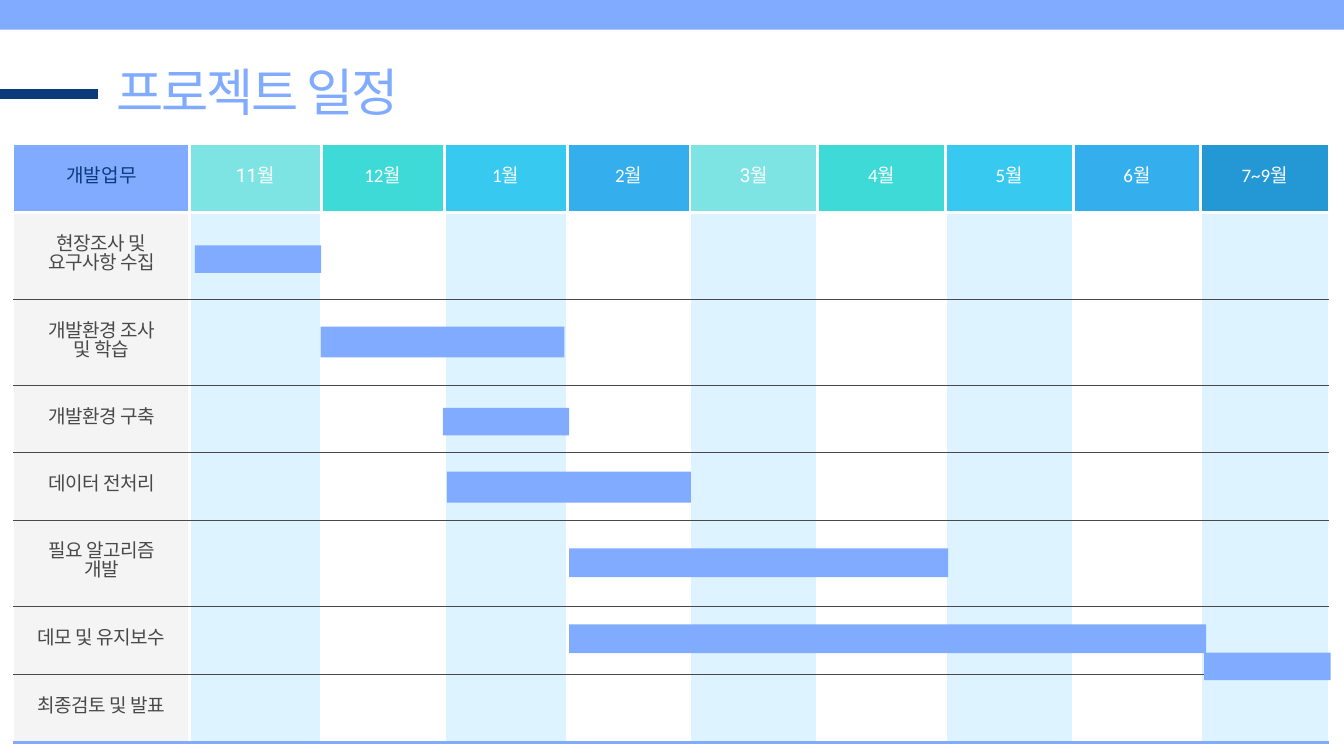
import dataclasses

import lxml.etree
import pptx
import pptx.dml.color
import pptx.enum.shapes
import pptx.enum.text
import pptx.oxml.ns
import pptx.util

PX = 9144


@dataclasses.dataclass(frozen=True)
class Theme:
    periwinkle: str = "80ABFF"
    navy: str = "0B3B7B"
    white: str = "FFFFFF"
    ink: str = "494949"
    label: str = "F4F4F4"
    stripe: str = "DDF3FF"
    months: tuple = ("7DE4E3", "3EDAD8", "37C9EF", "34AEED")
    last_month: str = "2498D4"
    font: str = "Calibri"
    accent_font: str = "Roboto"
    title_size: float = 55
    title_leading: float = 66
    cell_size: float = 20.4
    thin: float = 0.85
    medium: float = 2.55
    thick: float = 3.4
    dash: float = 11.25


class ScheduleSlide:
    """Draws the elements of a schedule slide in one theme."""

    def __init__(self, deck, theme):
        self.theme = theme
        self.slide = deck.slides.add_slide(deck.slide_layouts[6])

    def color(self, value):
        return pptx.dml.color.RGBColor.from_string(value)

    def lengths(self, *values):
        return [pptx.util.Emu(value * PX) for value in values]

    def add_lines(self, frame, lines, size, leading, color, font, spacing=0):
        for index, line in enumerate(lines):
            paragraph = frame.add_paragraph() if index else frame.paragraphs[0]
            paragraph.line_spacing = pptx.util.Pt(leading)
            run = paragraph.add_run()
            run.text = line
            run.font.size = pptx.util.Pt(size)
            run.font.name = font
            run.font.color.rgb = self.color(color)
            if spacing:
                run.font._element.set("spc", str(spacing))

    def bar(self, left, top, width, height):
        bar = self.slide.shapes.add_shape(
            pptx.enum.shapes.MSO_SHAPE.RECTANGLE,
            *self.lengths(left, top, width, height))
        bar.shadow.inherit = False
        bar.fill.solid()
        bar.fill.fore_color.rgb = self.color(self.theme.periwinkle)
        bar.line.fill.background()

    def dash(self, x1, y1, x2, y2):
        dash = self.slide.shapes.add_connector(
            pptx.enum.shapes.MSO_CONNECTOR.STRAIGHT, *self.lengths(x1, y1, x2, y2))
        dash.line.color.rgb = self.color(self.theme.navy)
        dash.line.width = pptx.util.Pt(self.theme.dash)
        lxml.etree.SubElement(dash._element.spPr, pptx.oxml.ns.qn("a:effectLst"))

    def title(self, text, left, top, width, height):
        box = self.slide.shapes.add_textbox(*self.lengths(left, top, width, height))
        frame = box.text_frame
        frame.word_wrap = True
        frame.auto_size = pptx.enum.text.MSO_AUTO_SIZE.SHAPE_TO_FIT_TEXT
        frame.margin_left = frame.margin_right = 0
        frame.margin_top = frame.margin_bottom = 0
        self.add_lines(frame, [text], self.theme.title_size, self.theme.title_leading,
                       self.theme.periwinkle, self.theme.font, -220)

    def table(self, left, top, columns, rows):
        table = self.slide.shapes.add_table(
            len(rows), len(columns),
            *self.lengths(left, top, sum(columns), sum(rows))).table
        table.first_row = table.horz_banding = False
        for column, width in zip(table.columns, columns):
            column.width = pptx.util.Emu(width * PX)
        for row, height in zip(table.rows, rows):
            row.height = pptx.util.Emu(height * PX)
        return table

    def cell(self, cell, fill, borders, lines=(), color=None, font=None, spacing=0):
        cell.fill.solid()
        cell.fill.fore_color.rgb = self.color(fill)
        cell.vertical_anchor = pptx.enum.text.MSO_ANCHOR.MIDDLE
        cell.margin_left = cell.margin_right = pptx.util.Emu(24 * PX)
        cell.margin_top = cell.margin_bottom = pptx.util.Emu(24 * PX)
        size = self.theme.cell_size
        self.add_lines(cell.text_frame, lines, size, size, color, font, spacing)
        for paragraph in cell.text_frame.paragraphs:
            paragraph.alignment = pptx.enum.text.PP_ALIGN.CENTER
        properties = cell._tc.get_or_add_tcPr()
        for index, (side, (stroke, width)) in enumerate(zip("LRTB", borders)):
            edge = lxml.etree.Element(pptx.oxml.ns.qn(f"a:ln{side}"),
                                      w=str(int(pptx.util.Pt(width))))
            solid = lxml.etree.SubElement(edge, pptx.oxml.ns.qn("a:solidFill"))
            lxml.etree.SubElement(solid, pptx.oxml.ns.qn("a:srgbClr"), val=stroke)
            properties.insert(index, edge)

    def schedule(self, left, top, columns, rows, months, tasks):
        theme = self.theme
        table = self.table(left, top, columns, rows)
        outer = (theme.white, theme.thin)
        gap = (theme.white, theme.thick)
        rule = (theme.ink, theme.thin)
        levels = [outer, gap] + [rule] * (len(tasks) - 1)
        levels.append((theme.periwinkle, theme.medium))
        uprights = [outer] + [gap] * len(months) + [outer]

        def borders(row, column):
            return uprights[column], uprights[column + 1], levels[row], levels[row + 1]

        self.cell(table.cell(0, 0), theme.periwinkle, borders(0, 0),
                  ["개발업무"], theme.navy, theme.font)
        for column, month in enumerate(months, 1):
            step = (column - 1) % len(theme.months)
            fill = theme.last_month if column == len(months) else theme.months[step]
            accented = step == 0 and column < len(months)
            self.cell(table.cell(0, column), fill, borders(0, column), [month],
                      theme.white, theme.accent_font if accented else theme.font)
        for row, task in enumerate(tasks, 1):
            self.cell(table.cell(row, 0), theme.label, borders(row, 0),
                      task, theme.ink, theme.font, -50)
            for column in range(1, len(columns)):
                fill = theme.stripe if column % 2 else theme.white
                self.cell(table.cell(row, column), fill, borders(row, column))


def main():
    deck = pptx.Presentation()
    deck.slide_width = pptx.util.Emu(2000 * PX)
    deck.slide_height = pptx.util.Emu(1125 * PX)
    page = ScheduleSlide(deck, Theme())

    months = ["11월", "12월", "1월", "2월", "3월", "4월", "5월", "6월", "7~9월"]
    tasks = [
        ["현장조사 및", "요구사항 수집"],
        ["개발환경 조사", "및 학습"],
        ["개발환경 구축"],
        ["데이터 전처리"],
        ["필요 알고리즘", "개발"],
        ["데모 및 유지보수"],
        ["최종검토 및 발표"],
    ]
    page.schedule(20, 215, [262, 196] + [183] * 3 + [190] * 5,
                  [101, 130, 128, 99, 101, 128, 101, 102], months, tasks)

    page.bar(-12, -13, 2024, 57)
    page.dash(0, 140, 146, 140)
    page.title("프로젝트 일정", 173, 89, 723, 106)

    periods = [
        (290, 365, 188, 41),
        (477, 486, 363, 46),
        (659, 607, 188, 41),
        (665, 702, 363, 46),
        (847, 816, 564, 43),
        (847, 929, 948, 43),
        (1792, 971, 188, 41),
    ]
    for period in periods:
        page.bar(*period)

    deck.save("out.pptx")


if __name__ == "__main__":
    main()
